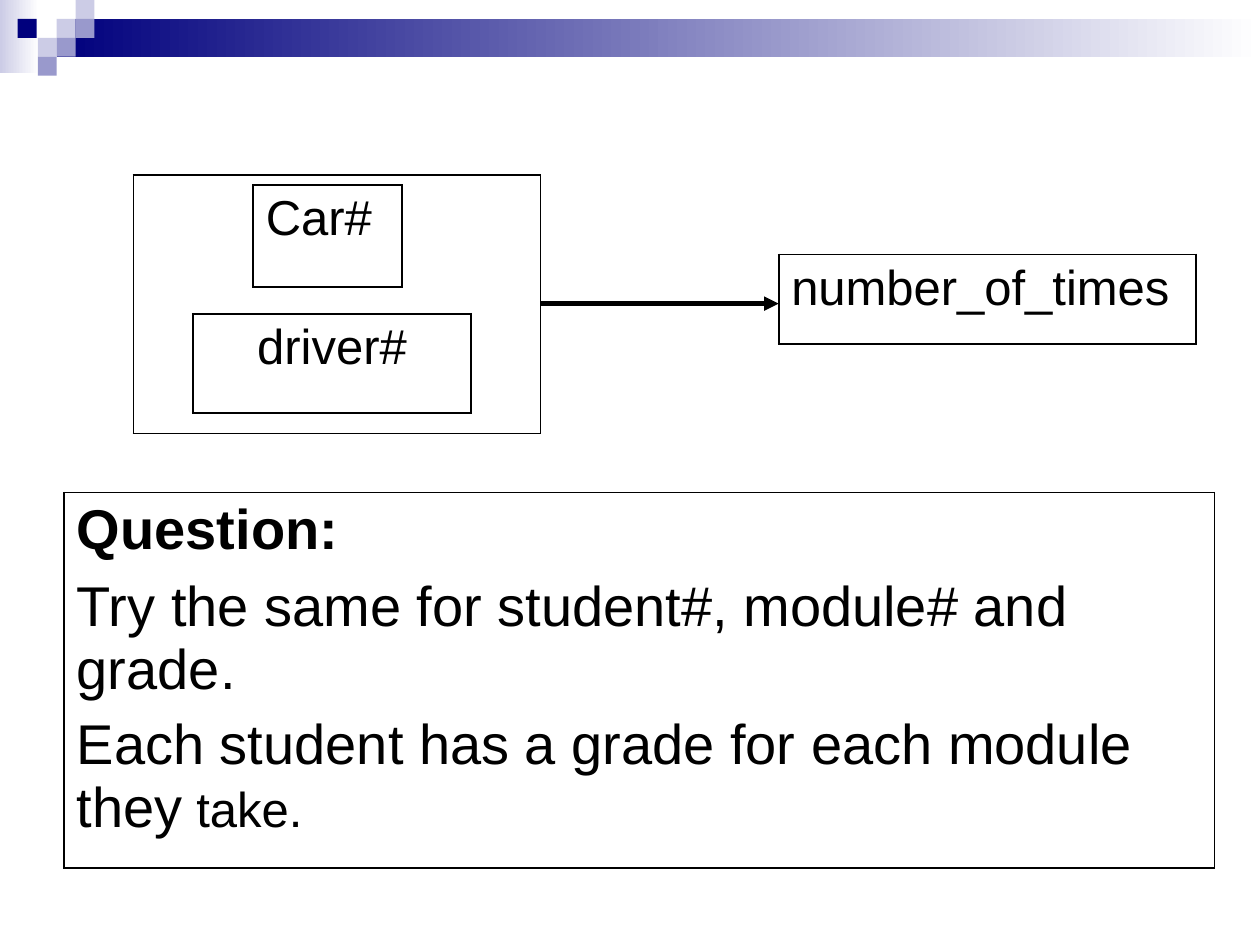
from lxml.etree import SubElement
from pptx import Presentation
from pptx.dml.color import RGBColor
from pptx.enum.shapes import MSO_CONNECTOR, MSO_SHAPE
from pptx.enum.text import PP_ALIGN
from pptx.oxml.ns import qn
from pptx.util import Pt

PX = 9144
BLACK = RGBColor(0x00, 0x00, 0x00)
WHITE = RGBColor(0xFF, 0xFF, 0xFF)
NAVY = RGBColor(0x00, 0x00, 0x7D)
LAVENDER = RGBColor(0xCC, 0xCC, 0xE6)
PERIWINKLE = RGBColor(0x99, 0x99, 0xCC)


def add_block(left, top, width, height, color, fade=False):
    block = slide.shapes.add_shape(
        MSO_SHAPE.RECTANGLE, left * PX, top * PX, width * PX, height * PX)
    block.shadow.inherit = False
    block.line.fill.background()
    if fade:
        block.fill.gradient()
        block.fill.gradient_angle = 0
        for stop, stop_color, position in zip(
                block.fill.gradient_stops, (color, WHITE), (0, 1)):
            stop.color.rgb = stop_color
            stop.position = position
    else:
        block.fill.solid()
        block.fill.fore_color.rgb = color


def add_box(left, top, width, height, paragraphs, alignment=PP_ALIGN.LEFT):
    frame = slide.shapes.add_table(
        1, 1, left * PX, top * PX, width * PX, height * PX)
    table = frame.table
    table.first_row = False
    table.horz_banding = False
    cell = table.cell(0, 0)
    properties = cell._tc.get_or_add_tcPr()
    for side in ("a:lnL", "a:lnR", "a:lnT", "a:lnB"):
        border = SubElement(properties, qn(side), w=str(Pt(1.08)))
        border_fill = SubElement(border, qn("a:solidFill"))
        SubElement(border_fill, qn("a:srgbClr"), val=str(BLACK))
    cell.fill.background()
    for index, (runs, space_before) in enumerate(paragraphs):
        text_frame = cell.text_frame
        paragraph = text_frame.add_paragraph() if index else text_frame.paragraphs[0]
        paragraph.alignment = alignment
        paragraph.space_before = Pt(space_before)
        for text, size, bold in runs:
            run = paragraph.add_run()
            run.text = text
            run.font.name = "Arial"
            run.font.size = Pt(size)
            run.font.bold = bold
            run.font.color.rgb = BLACK


presentation = Presentation()
presentation.slide_width = 1000 * PX
presentation.slide_height = 750 * PX
slide = presentation.slides.add_slide(presentation.slide_layouts[6])

add_block(0, 0, 31, 58, LAVENDER, fade=True)
add_block(45, 15, 955, 30, NAVY, fade=True)
for left, top, color in (
    (45, 15, LAVENDER),
    (60, 0, LAVENDER),
    (60, 15, PERIWINKLE),
    (30, 30, LAVENDER),
    (14, 15, NAVY),
    (45, 30, PERIWINKLE),
    (30, 45, PERIWINKLE),
):
    add_block(left, top, 15, 15, color)

add_box(153, 249, 221, 79, [([("driver#", 28, False)], 7)], PP_ALIGN.CENTER)
add_box(106, 139, 323, 205, [])
add_box(201, 147, 118, 81, [([("Car#", 28, False)], 7)])
add_box(618, 202, 331, 71, [([("number_of_times", 28, False)], 7)])

arrow = slide.shapes.add_connector(
    MSO_CONNECTOR.STRAIGHT, 429 * PX, 241 * PX, 618 * PX, 241 * PX)
arrow.line.color.rgb = BLACK
arrow.line.width = Pt(2.75)
SubElement(arrow.line._get_or_add_ln(), qn("a:tailEnd"), type="triangle")
SubElement(arrow._element.spPr, qn("a:effectLst"))

add_box(51, 391, 913, 298, [
    ([("Question:", 32, True)], 8),
    ([("Try the same for student#, module# and grade.", 32, False)], 8),
    ([("Each student has a grade for each module they", 32, False),
      (" take.", 28, False)], 7),
])

presentation.save("out.pptx")
